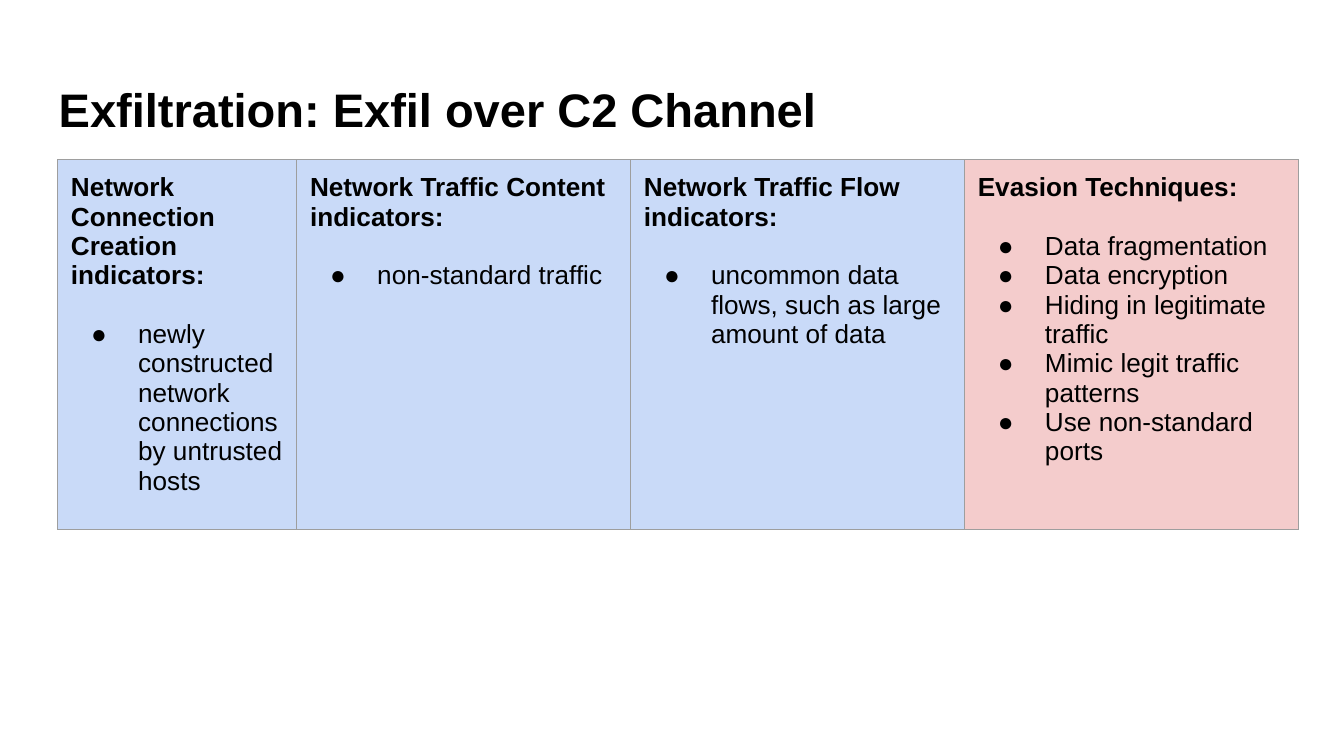
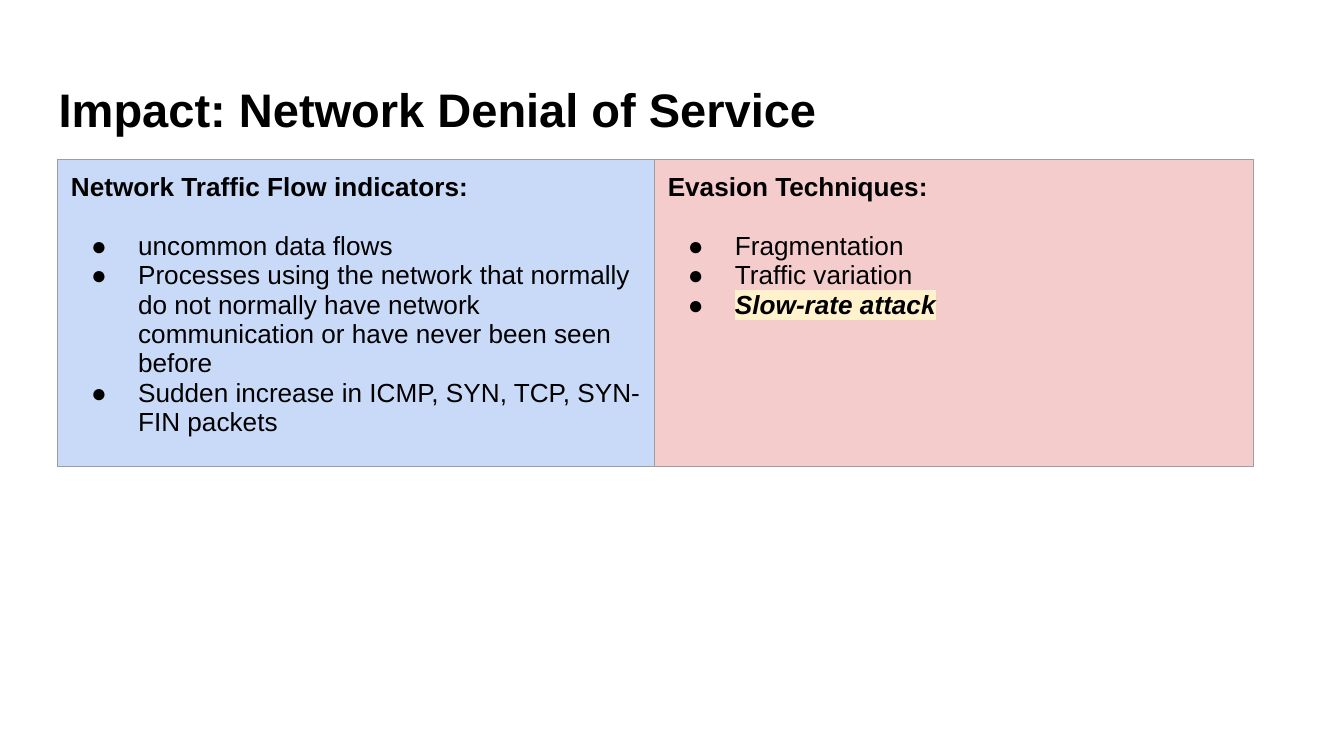
"""Build two slides of attack indicators and evasion techniques."""
from dataclasses import dataclass

import lxml.etree
import pptx
import pptx.dml.color
import pptx.enum.text
import pptx.oxml.ns
import pptx.util

Cm = pptx.util.Cm
Pt = pptx.util.Pt
RGBColor = pptx.dml.color.RGBColor
qn = pptx.oxml.ns.qn

BLACK = RGBColor(0x00, 0x00, 0x00)
WHITE = RGBColor(0xFF, 0xFF, 0xFF)
BLUE = RGBColor(0xC9, 0xDA, 0xF8)
PINK = RGBColor(0xF4, 0xCC, 0xCC)
GREY = RGBColor(0x9E, 0x9E, 0x9E)
CREAM = RGBColor(0xFF, 0xF2, 0xCC)

FONT = "Arial"
INSET = Cm(0.25)
ROWS = 3


@dataclass(frozen=True)
class Column:
    """A table column with a heading and bullets."""

    width: float
    head: str
    points: tuple[str, ...]
    fill: RGBColor = BLUE
    marked: str = ""


@dataclass(frozen=True)
class Page:
    """A slide title with its columns."""

    title: str
    columns: tuple[Column, ...]


PAGES = (
    Page("Exfiltration: Exfil over C2 Channel", (
        Column(4.52, "Network Connection Creation indicators:",
               ("newly constructed network connections by untrusted hosts",)),
        Column(6.31, "Network Traffic Content indicators:",
               ("non-standard traffic",)),
        Column(6.31, "Network Traffic Flow indicators:",
               ("uncommon data flows, such as large amount of data",)),
        Column(6.31, "Evasion Techniques:",
               ("Data fragmentation", "Data encryption",
                "Hiding in legitimate traffic",
                "Mimic legit traffic patterns",
                "Use non-standard ports"), PINK),
    )),
    Page("Impact: Network Denial of Service", (
        Column(11.28, "Network Traffic Flow indicators:",
               ("uncommon data flows",
                "Processes using the network that normally do not normally "
                "have network communication or have never been seen before",
                "Sudden increase in ICMP, SYN, TCP, SYN-FIN packets")),
        Column(11.32, "Evasion Techniques:",
               ("Fragmentation", "Traffic variation", "Slow-rate attack"),
               PINK, "Slow-rate attack"),
    )),
)


def add_node(parent, tag: str, **attrs: str):
    """Append an XML child and return it."""
    return lxml.etree.SubElement(parent, qn(tag), attrs)


def add_tint(parent, color: RGBColor) -> None:
    """Append a colour value to an XML node."""
    add_node(parent, "a:srgbClr", val=str(color))


def style_text(para, size: float, bold: bool = False) -> None:
    """Set the font of each run in a paragraph."""
    for run in para.runs:
        run.font.name = FONT
        run.font.size = Pt(size)
        run.font.bold = bold
        run.font.color.rgb = BLACK


def set_inset(box) -> None:
    """Give a cell or text frame equal margins."""
    box.margin_left = box.margin_right = INSET
    box.margin_top = box.margin_bottom = INSET


def add_bullet(para) -> None:
    """Indent a paragraph and give it a round bullet."""
    props = para._p.get_or_add_pPr()
    props.set("marL", str(Cm(1.27)))
    props.set("indent", str(-Cm(0.89)))
    add_tint(add_node(props, "a:buClr"), BLACK)
    add_node(props, "a:buFont", typeface=FONT)
    add_node(props, "a:buChar", char="●")


def mark_run(run) -> None:
    """Make a run bold, italic and highlighted."""
    run.font.bold = run.font.italic = True
    props = run._r.get_or_add_rPr()
    light = lxml.etree.Element(qn("a:highlight"))
    add_tint(light, CREAM)
    props.find(qn("a:latin")).addprevious(light)


def add_border(cell) -> None:
    """Draw a thin line on each side of a cell."""
    props = cell._tc.get_or_add_tcPr()
    for side in ("a:lnL", "a:lnR", "a:lnT", "a:lnB"):
        line = add_node(props, side, w=str(Pt(0.75)))
        add_tint(add_node(line, "a:solidFill"), GREY)


def fill_cell(cell, column: Column) -> None:
    """Write a column's heading and bullets into a cell."""
    frame = cell.text_frame
    frame.text = "\n".join((column.head, *column.points))
    head, *points = frame.paragraphs
    style_text(head, 14, True)
    head.space_after = Pt(15.7)
    for para in points:
        style_text(para, 14)
        add_bullet(para)
        if para.text == column.marked:
            mark_run(para.runs[0])


def add_title(slide, text: str) -> None:
    """Add the bold title above the table."""
    box = slide.shapes.add_textbox(Cm(0.86), Cm(1.24), Cm(23.67), Cm(1.6))
    frame = box.text_frame
    frame.word_wrap = True
    frame.vertical_anchor = pptx.enum.text.MSO_ANCHOR.BOTTOM
    set_inset(frame)
    frame.text = text
    style_text(frame.paragraphs[0], 25.2, True)


def add_grid(slide, columns: tuple[Column, ...]) -> None:
    """Add the table, with one merged cell per column."""
    side = Cm(8.33)
    shape = slide.shapes.add_table(
        ROWS, len(columns), Cm(1.09), Cm(3.02), side, side)
    table = shape.table
    table.first_row = table.horz_banding = False
    for row in table.rows:
        row.height = Cm(1.06)
    for index, column in enumerate(columns):
        table.columns[index].width = Cm(column.width)
        for row in range(ROWS):
            cell = table.cell(row, index)
            set_inset(cell)
            add_border(cell)
            cell.fill.solid()
            cell.fill.fore_color.rgb = column.fill
        top = table.cell(0, index)
        top.merge(table.cell(ROWS - 1, index))
        fill_cell(top, column)
    shape.width = shape.height = side


def main() -> None:
    """Build and save the slides."""
    deck = pptx.Presentation()
    deck.slide_width = Cm(25.4)
    deck.slide_height = Cm(14.29)
    for page in PAGES:
        slide = deck.slides.add_slide(deck.slide_layouts[6])
        slide.background.fill.solid()
        slide.background.fill.fore_color.rgb = WHITE
        add_title(slide, page.title)
        add_grid(slide, page.columns)
    deck.save("out.pptx")


if __name__ == "__main__":
    main()
